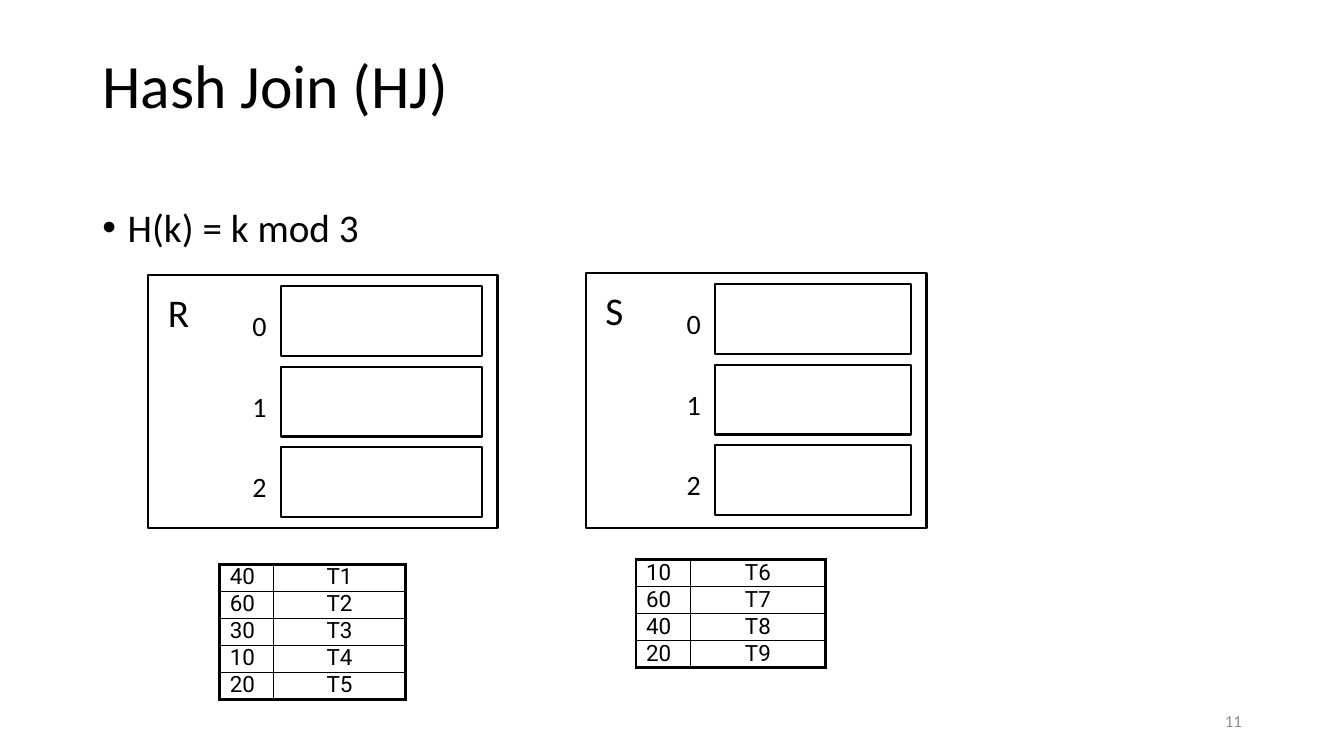
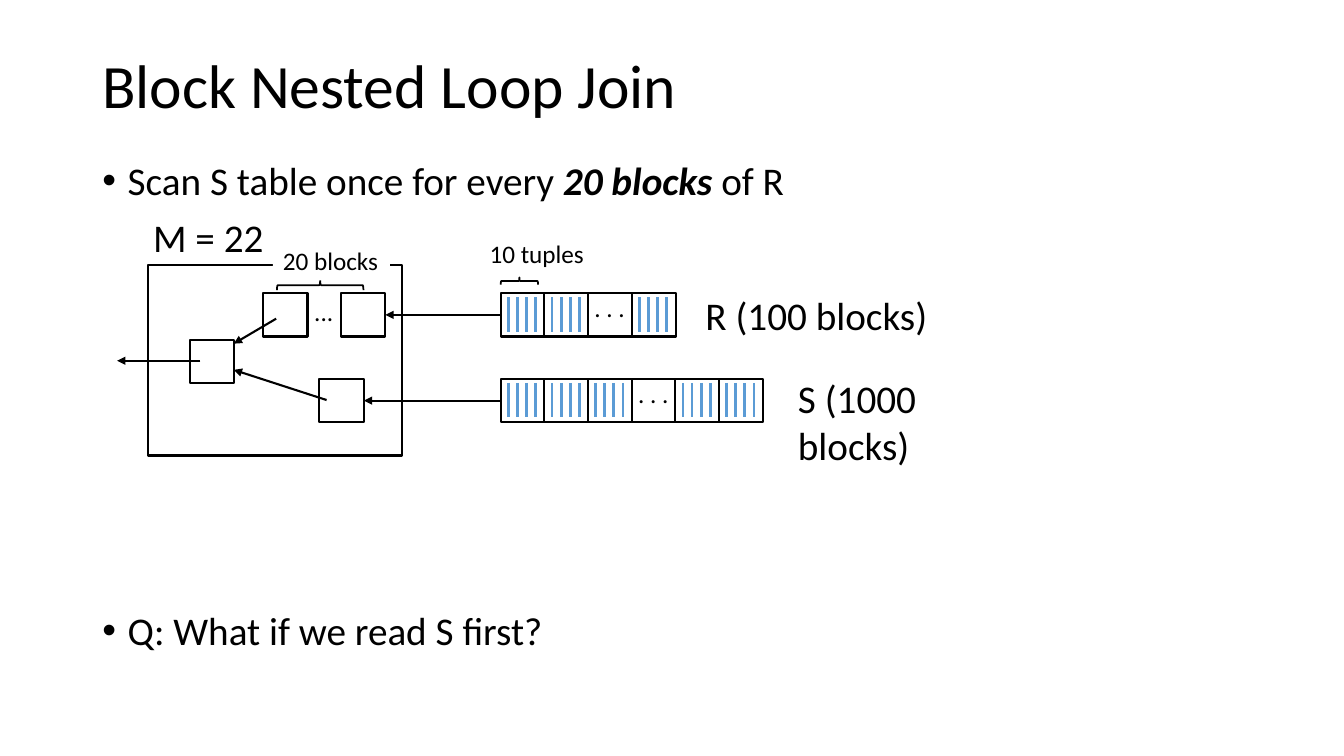
from dataclasses import dataclass

import pptx
import pptx.util
from lxml import etree
from pptx.dml.color import RGBColor
from pptx.enum.shapes import MSO_CONNECTOR, MSO_SHAPE
from pptx.enum.text import MSO_ANCHOR, PP_ALIGN
from pptx.oxml.ns import qn
from pptx.util import Cm, Pt


@dataclass(frozen=True)
class Theme:
    font: str = "Calibri"
    table_font: str = "Roboto"
    ink: str = "000000"
    paper: str = "FFFFFF"
    muted: str = "8C8C8C"
    tuple_blue: str = "5B9BD5"
    title: float = 44
    body: float = 28
    bucket: float = 20
    note: float = 18
    cell: float = 16
    number: float = 12
    outline: float = 1.5
    brace: float = 1.25
    stripe: float = 2
    table_edge: float = 2.25
    table_grid: float = 1


THEME = Theme()
LEFT, WIDTH = 2.33, 29.21

# Slide 1: each relation has a panel of buckets and a table (centimetres).
RELATIONS = [
    {"name": "R", "panel": (3.73, 6.93, 8.81, 6.38),
     "table": (5.54, 14.22), "columns": (1.35, 3.33),
     "rows": [("40", "T1"), ("60", "T2"), ("30", "T3"), ("10", "T4"), ("20", "T5")]},
    {"name": "S", "panel": (14.76, 6.88, 8.59, 6.43),
     "table": (16.03, 14.1), "columns": (1.37, 3.4),
     "rows": [("10", "T6"), ("60", "T7"), ("40", "T8"), ("20", "T9")]},
]
BUCKETS = ("0", "1", "2")
BUCKET_HEIGHT, BUCKET_PITCH, BUCKET_START = 1.76, 2.03, 0.38
PANEL_RIGHT_GAP, PANEL_TOP_GAP = 0.38, 0.28
ROW_HEIGHT = 0.68

# Slide 2: memory, its buffer blocks, and the two stored tables.
MEMORY = (3.73, 6.68, 6.4, 4.8)
BLOCK_WIDTH, BLOCK_HEIGHT, BLOCK_PITCH = 1.12, 1.09, 1.1
BUFFERS = {"R first": (6.63, 7.39), "R last": (8.59, 7.39),
           "S": (8.05, 9.55), "output": (4.78, 8.56)}
FILE_LEFT = 12.62
FILES = [
    # blocks (True holds tuples, False is skipped), top, buffer, label, label place
    ((True, True, False, True), 7.39, "R last", "R (100 blocks)", (17.53, 7.21)),
    ((True, True, True, False, True, True), 9.55, "S", "S (1000 blocks)", (19.86, 9.3)),
]
STRIPES, STRIPE_START, STRIPE_PITCH = 4, 0.19, 0.23
STRIPE_TOP, STRIPE_LENGTH = 0.1, 0.87
BUFFER_ARROWS = [((5.05, 9.09), (2.95, 9.09)),
                 ((6.96, 8.03), (5.89, 8.66)),
                 ((8.23, 10.08), (5.89, 9.32))]
BRACES = [(12.62, 6.99, 0.94, 0.18), (6.98, 7.06, 2.18, 0.25)]


def color(value):
    return RGBColor.from_string(value)


def format_runs(paragraph, size, ink=THEME.ink, font=THEME.font):
    for run in paragraph.runs:
        run.font.size = Pt(size)
        run.font.name = font
        run.font.color.rgb = color(ink)


def add_text(slide, text, box, size, ink=THEME.ink, wrap=False,
             anchor=MSO_ANCHOR.TOP, align=PP_ALIGN.LEFT):
    shape = slide.shapes.add_textbox(*map(Cm, box))
    frame = shape.text_frame
    frame.text = text
    frame.word_wrap = wrap
    frame.vertical_anchor = anchor
    frame.paragraphs[0].alignment = align
    format_runs(frame.paragraphs[0], size, ink)
    return shape


def add_title(slide, text):
    shape = add_text(slide, text, (LEFT, 1.01, WIDTH, 2.46), THEME.title,
                     wrap=True, anchor=MSO_ANCHOR.MIDDLE)
    shape.text_frame.paragraphs[0].line_spacing = 0.9


def add_bullet(slide, top, *pieces):
    """Write one bullet; every second piece is bold italic."""
    shape = add_text(slide, "", (LEFT, top, WIDTH, 1.4), THEME.body, wrap=True)
    paragraph = shape.text_frame.paragraphs[0]
    paragraph.line_spacing = 0.9
    properties = paragraph._p.get_or_add_pPr()
    properties.set("marL", str(Cm(0.64)))
    properties.set("indent", str(-Cm(0.64)))
    etree.SubElement(properties, qn("a:buFont"), typeface="Arial")
    etree.SubElement(properties, qn("a:buChar"), char="•")
    for index, piece in enumerate(pieces):
        run = paragraph.add_run()
        run.text = piece
        if index % 2:
            run.font.bold = run.font.italic = True
    format_runs(paragraph, THEME.body)


def add_box(slide, box):
    shape = slide.shapes.add_shape(MSO_SHAPE.RECTANGLE, *map(Cm, box))
    shape.shadow.inherit = False
    shape.fill.solid()
    shape.fill.fore_color.rgb = color(THEME.paper)
    shape.line.color.rgb = color(THEME.ink)
    shape.line.width = Pt(THEME.outline)
    return shape


def add_block(slide, left, top):
    return add_box(slide, (left, top, BLOCK_WIDTH, BLOCK_HEIGHT))


def add_line(slide, start, end, ink=THEME.ink, width=THEME.outline, arrow=False):
    line = slide.shapes.add_connector(MSO_CONNECTOR.STRAIGHT, *map(Cm, start + end))
    line.line.color.rgb = color(ink)
    line.line.width = Pt(width)
    if arrow:
        etree.SubElement(line.line._get_or_add_ln(), qn("a:tailEnd"), type="triangle")
    etree.SubElement(line._element.spPr, qn("a:effectLst"))
    return line


def add_brace(slide, left, top, span, depth):
    """Draw a brace lying on its side, pointing up."""
    shape = slide.shapes.add_shape(
        MSO_SHAPE.RIGHT_BRACE, Cm(left + (span - depth) / 2),
        Cm(top - (span - depth) / 2), Cm(depth), Cm(span))
    shape.rotation = 270
    shape.shadow.inherit = False
    shape.fill.background()
    shape.line.color.rgb = color(THEME.ink)
    shape.line.width = Pt(THEME.brace)


def set_borders(cell, widths):
    """Set left, right, top and bottom border widths in points."""
    properties = cell._tc.get_or_add_tcPr()
    for index, (side, width) in enumerate(zip("LRTB", widths)):
        border = etree.Element(qn(f"a:ln{side}"), w=str(Pt(width)))
        fill = etree.SubElement(border, qn("a:solidFill"))
        etree.SubElement(fill, qn("a:srgbClr"), val=THEME.ink)
        properties.insert(index, border)


def add_relation_table(slide, place, columns, rows):
    size = (sum(columns), ROW_HEIGHT * len(rows))
    table = slide.shapes.add_table(len(rows), len(columns), *map(Cm, place + size)).table
    table.first_row = table.horz_banding = False
    for column, width in zip(table.columns, columns):
        column.width = Cm(width)
    last_row, last_column = len(rows) - 1, len(columns) - 1
    for i, values in enumerate(rows):
        table.rows[i].height = Cm(ROW_HEIGHT)
        for j, value in enumerate(values):
            cell = table.cell(i, j)
            cell.text = value
            cell.margin_top = cell.margin_bottom = 0
            cell.fill.background()
            paragraph = cell.text_frame.paragraphs[0]
            paragraph.alignment = PP_ALIGN.CENTER if j else PP_ALIGN.LEFT
            format_runs(paragraph, THEME.cell, font=THEME.table_font)
            edges = (j == 0, j == last_column, i == 0, i == last_row)
            set_borders(cell, [THEME.table_edge if edge else THEME.table_grid
                               for edge in edges])


def add_bucket_panel(slide, name, panel):
    left, top, width, _ = panel
    add_box(slide, panel)
    add_text(slide, name, (left + 0.25, top + 0.2, 1.05, 1.45), THEME.body)
    bucket_left = left + BUCKET_START * width
    bucket_width = left + width - PANEL_RIGHT_GAP - bucket_left
    for index, label in enumerate(BUCKETS):
        bucket_top = top + PANEL_TOP_GAP + index * BUCKET_PITCH
        add_box(slide, (bucket_left, bucket_top, bucket_width, BUCKET_HEIGHT))
        add_text(slide, label, (bucket_left - 0.97, bucket_top + 0.44, 0.88, 1.1),
                 THEME.bucket)


def add_file(slide, blocks, top):
    """Draw a row of blocks and return the first one."""
    shapes = []
    for index, holds_tuples in enumerate(blocks):
        left = FILE_LEFT + index * BLOCK_PITCH
        shapes.append(add_block(slide, left, top))
        if not holds_tuples:
            add_text(slide, ". . .", (left - 0.09, top - 0.14, 1.3, 1.02), THEME.note)
            continue
        for stripe in range(STRIPES):
            x = left + STRIPE_START + stripe * STRIPE_PITCH
            y = top + STRIPE_TOP
            add_line(slide, (x, y), (x, y + STRIPE_LENGTH),
                     THEME.tuple_blue, THEME.stripe)
    return shapes[0]


def build_hash_join(slide):
    add_title(slide, "Hash Join (HJ)")
    add_bullet(slide, 5.13, "H(k) = k mod 3")
    add_text(slide, "11", (23.93, 17.65, 7.62, 1.02), THEME.number, THEME.muted,
             wrap=True, anchor=MSO_ANCHOR.MIDDLE, align=PP_ALIGN.RIGHT)
    for relation in RELATIONS:
        add_bucket_panel(slide, relation["name"], relation["panel"])
        add_relation_table(slide, relation["table"], relation["columns"],
                           relation["rows"])


def build_block_nested_loop(slide):
    add_title(slide, "Block Nested Loop Join")
    add_bullet(slide, 3.94, "Scan S table once for every ", "20 blocks", " of R")
    add_bullet(slide, 15.28, "Q: What if we read S first?")
    add_box(slide, MEMORY)
    add_text(slide, "M = 22", (3.61, 5.26, 3.33, 1.45), THEME.body)
    buffers = {name: add_block(slide, *place) for name, place in BUFFERS.items()}
    add_text(slide, "...", (7.67, 7.34, 0.99, 1.02), THEME.note)
    for blocks, top, buffer, label, place in FILES:
        first_block = add_file(slide, blocks, top)
        add_text(slide, label, place + (6.4, 1.45), THEME.body)
        arrow = add_line(slide, (FILE_LEFT, top), BUFFERS[buffer], arrow=True)
        arrow.begin_connect(first_block, 1)
        arrow.end_connect(buffers[buffer], 3)
    for start, end in BUFFER_ARROWS:
        add_line(slide, start, end, arrow=True)
    for brace in BRACES:
        add_brace(slide, *brace)
    add_text(slide, "10 tuples", (12.09, 5.89, 2.92, 1.02), THEME.note)
    buffer_note = add_text(slide, "20 blocks", (6.88, 6.05, 2.95, 1.02), THEME.note)
    buffer_note.fill.solid()
    buffer_note.fill.fore_color.rgb = color(THEME.paper)


def main():
    presentation = pptx.Presentation()
    presentation.slide_width, presentation.slide_height = Cm(33.87), Cm(19.05)
    blank = presentation.slide_layouts[6]
    for build in (build_hash_join, build_block_nested_loop):
        build(presentation.slides.add_slide(blank))
    presentation.save("out.pptx")


if __name__ == "__main__":
    main()
